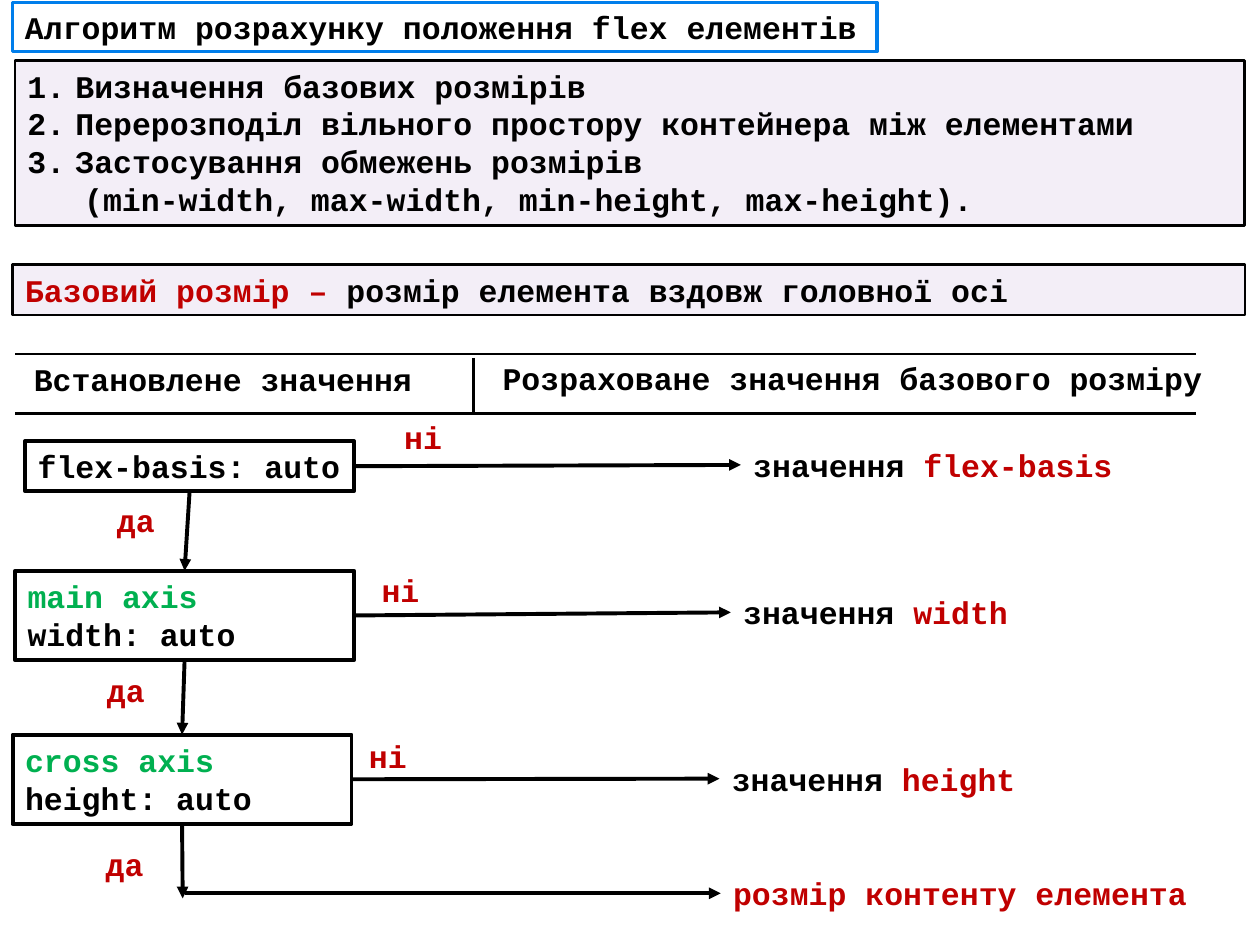
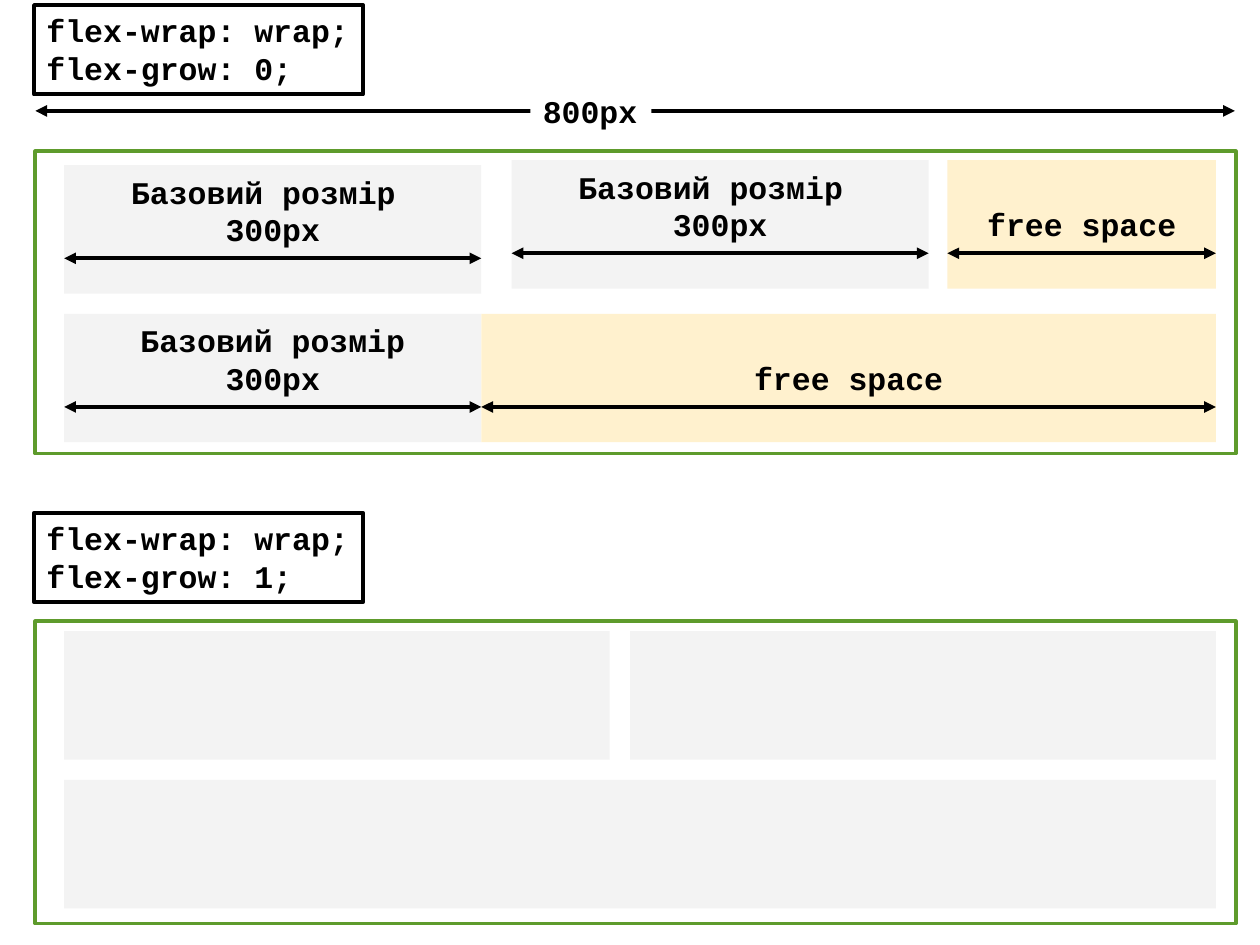
from dataclasses import dataclass

from lxml.etree import SubElement
from pptx import Presentation
from pptx.dml.color import RGBColor
from pptx.enum.shapes import MSO_CONNECTOR as CONN, MSO_SHAPE as SHAPE
from pptx.enum.text import MSO_ANCHOR as ANCHOR, PP_ALIGN as ALIGN
from pptx.oxml.ns import qn
from pptx.util import Inches, Pt

COLS, ROWS = 100, 75
TOP, LEFT, BOTTOM, RIGHT = range(4)


@dataclass(frozen=True)
class Theme:
    font: str = "Courier New"
    size: int = 18
    ink: str = "000000"
    accent: str = "C00000"
    axis: str = "00B050"
    title: str = "007EEB"
    container: str = "5E9B2C"
    paper: str = "FFFFFF"
    free: str = "FFF1CE"
    lilac: tuple = ("7030A0", 8)  # colour, opacity in percent
    item: tuple = ("D9D9D9", 31)
    thin: float = 1.5
    frame: float = 2
    thick: float = 2.25


class Deck:
    """Draws on the current slide; lengths are grid columns and rows."""

    def __init__(self, theme):
        self.t = theme
        self.prs = Presentation()
        self.prs.slide_width, self.prs.slide_height = Inches(10), Inches(7.5)
        self.col = self.prs.slide_width / COLS
        self.row = self.prs.slide_height / ROWS

    def new_slide(self):
        self.shapes = self.prs.slides.add_slide(self.prs.slide_layouts[6]).shapes

    def grid(self, x, y):
        return round(x * self.col), round(y * self.row)

    def box(self, x, y, w, h, lines=(), fill=None, line=None, width=None, **text):
        sp = self.shapes.add_shape(SHAPE.RECTANGLE, *self.grid(x, y), *self.grid(w, h))
        sp.shadow.inherit = False
        self.paint(sp, fill)
        if line:
            sp.line.color.rgb = RGBColor.from_string(line)
            sp.line.width = Pt(width or self.t.thick)
        else:
            sp.line.fill.background()
        if lines:
            self.put_text(sp.text_frame, lines, **text)
        return sp

    def label(self, x, y, w, *parts, wrap=True):
        sp = self.shapes.add_textbox(*self.grid(x, y), *self.grid(w, 4))
        self.put_text(sp.text_frame, [parts], wrap=wrap)
        return sp

    def paint(self, sp, colour):
        if not colour:
            sp.fill.background()
            return
        rgb, opacity = colour if isinstance(colour, tuple) else (colour, 100)
        sp.fill.solid()
        sp.fill.fore_color.rgb = RGBColor.from_string(rgb)
        if opacity < 100:
            clr = sp._element.spPr.find(qn("a:solidFill")).find(qn("a:srgbClr"))
            SubElement(clr, qn("a:alpha"), val=str(opacity * 1000))

    def put_text(self, tf, lines, align=ALIGN.LEFT, anchor=ANCHOR.TOP, wrap=True):
        """Each line is a string or a sequence of strings and (string, colour) pairs."""
        tf.word_wrap = wrap
        tf.vertical_anchor = anchor
        for i, line in enumerate(lines):
            p = tf.paragraphs[0] if i == 0 else tf.add_paragraph()
            p.alignment = align
            for part in [line] if isinstance(line, str) else line:
                text, colour = (part, self.t.ink) if isinstance(part, str) else part
                r = p.add_run()
                r.text = text
                r.font.name, r.font.size, r.font.bold = self.t.font, Pt(self.t.size), True
                r.font.color.rgb = RGBColor.from_string(colour)

    def number(self, p):
        pPr = p._p.get_or_add_pPr()
        self.indent(p, 0.38, -0.38)
        SubElement(pPr, qn("a:buFont"), typeface="+mj-lt")
        SubElement(pPr, qn("a:buAutoNum"), type="arabicPeriod")

    def indent(self, p, left, first=0):
        pPr = p._p.get_or_add_pPr()
        pPr.set("marL", str(Inches(left)))
        pPr.set("indent", str(Inches(first)))

    def line(self, x1, y1, x2, y2, width=None, heads=()):
        """heads lists the arrow ends: headEnd at the start, tailEnd at the finish."""
        c = self.shapes.add_connector(CONN.STRAIGHT, *self.grid(x1, y1), *self.grid(x2, y2))
        c.line.color.rgb = RGBColor.from_string(self.t.ink)
        c.line.width = Pt(width or self.t.thick)
        spPr = c._element.spPr
        for end in heads:
            SubElement(spPr.find(qn("a:ln")), qn("a:" + end), type="triangle")
        SubElement(spPr, qn("a:effectLst"))
        return c

    def arrow(self, *ends):
        return self.line(*ends, heads=["tailEnd"])

    def span(self, x1, x2, y):
        self.line(x1, y, x2, y, heads=["headEnd", "tailEnd"])

    def join(self, a, a_side, b, b_side):
        c = self.arrow(0, 0, 1, 1)
        c.begin_connect(a, a_side)
        c.end_connect(b, b_side)


def algorithm_slide(d):
    t = d.t
    d.new_slide()
    d.box(1, 0.2, 68.6, 3.9, ["Алгоритм розрахунку положення flex елементів"],
          fill=t.paper, line=t.title, width=t.frame, anchor=ANCHOR.MIDDLE)
    steps = d.box(1.2, 4.8, 97.6, 13.1, [
        "Визначення базових розмірів",
        "Перерозподіл вільного простору контейнера між елементами",
        "Застосування обмежень розмірів",
        "(min-width, max-width, min-height, max-height).",
    ], fill=t.lilac, line=t.ink, width=t.thin)
    *numbered, note = steps.text_frame.paragraphs
    for p in numbered:
        d.number(p)
    d.indent(note, 0.45)
    d.box(1, 21, 97.8, 4, [[("Базовий розмір – ", t.accent), "розмір елемента вздовж головної осі"]],
          fill=t.lilac, line=t.ink, width=t.thin)

    for y in (28.1, 32.8):
        d.line(1.2, y, 94.9, y, t.thin)
    d.line(37.6, 28.4, 37.6, 32.7, t.thin)
    d.label(1.7, 28.1, 37.3, "Встановлене значення")
    d.label(38.9, 28, 57.8, "Розраховане значення базового розміру")

    # box, its lines, then the places of the "no" label, the result and the "yes" label
    checks = [
        ((2, 35, 26.1, 4), ["flex-basis: auto"], (31.1, 32.7), (58.8, 34.9), "flex-basis", (8.3, 39.3)),
        ((1.2, 45.3, 26.9, 7.1), [[("main axis", t.axis)], "width: auto"],
         (29.3, 44.8), (58, 46.6), "width", (7.5, 52.8)),
        ((1, 58.3, 26.9, 7.1), [[("cross axis", t.axis)], "height: auto"],
         (28.3, 58), (57.1, 59.8), "height", (7.4, 66.6)),
    ]
    previous = None
    for place, lines, no_at, result_at, prop, yes_at in checks:
        check = d.box(*place, lines, line=t.ink, wrap=len(lines) > 1)
        result = d.label(*result_at, 37, "значення ", (prop, t.accent))
        d.join(check, RIGHT, result, LEFT)
        for word, at in (("ні", no_at), ("да", yes_at)):
            d.label(*at, 5, (word, t.accent), wrap=False)
        if previous:
            d.join(previous, BOTTOM, check, TOP)
        previous = check

    content = d.label(57.2, 68.9, 41.7, ("розмір контенту елемента", t.accent))
    d.arrow(14.5, 65.4, 14.5, 71.3).begin_connect(previous, BOTTOM)
    d.arrow(14.7, 70.9, 57.2, 70.9).end_connect(content, LEFT)


def wrap_slide(d):
    t = d.t
    d.new_slide()
    left, right, item_w, item_h = 5.1, 96.5, 33.1, 10.2
    for grow, y in enumerate((0.4, 40.7)):
        d.box(2.7, y, 26.1, 7.1, ["flex-wrap: wrap;", f"flex-grow: {grow};"], line=t.ink, wrap=False)
    for y in (12, 49.3):
        d.box(2.8, y, 95.3, 24, line=t.container, width=t.frame)

    d.span(2.8, 98, 8.8)
    d.box(42.1, 6.8, 9.6, 4, ["800px"], fill=t.paper, wrap=False)

    centred = dict(align=ALIGN.CENTER, anchor=ANCHOR.MIDDLE)
    for x, y, caption in ((left, 13.1, "Базовий розмір "), (40.6, 12.7, "Базовий розмір "),
                          (left, 24.9, "Базовий розмір")):
        sp = d.box(x, y, item_w, item_h, [caption, "300px"], fill=t.item, **centred)
        sp.text_frame.margin_bottom = Inches(0.35)
        d.span(x, x + item_w, y + 7.4)
    for x, y in ((75.2, 12.7), (left + item_w, 24.9)):
        d.box(x, y, right - x, item_h, ["free space"], fill=t.free, **centred)
        d.span(x, right, y + 7.4)

    for x, y, end in ((left, 50.1, 48.4), (50, 50.1, right), (left, 61.9, right)):
        d.box(x, y, end - x, item_h, fill=t.item)


def main():
    d = Deck(Theme())
    algorithm_slide(d)
    wrap_slide(d)
    d.prs.save("out.pptx")


if __name__ == "__main__":
    main()
